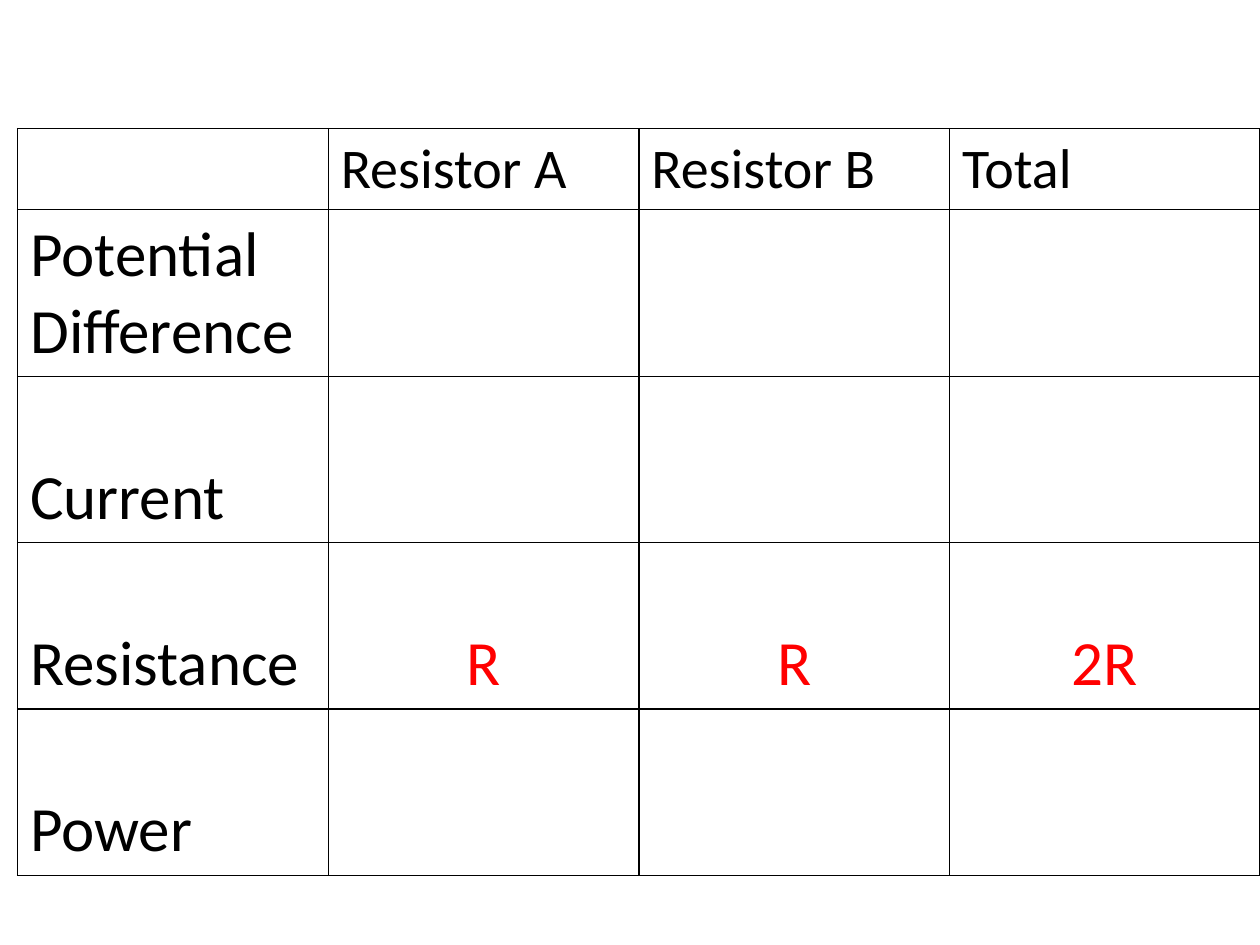
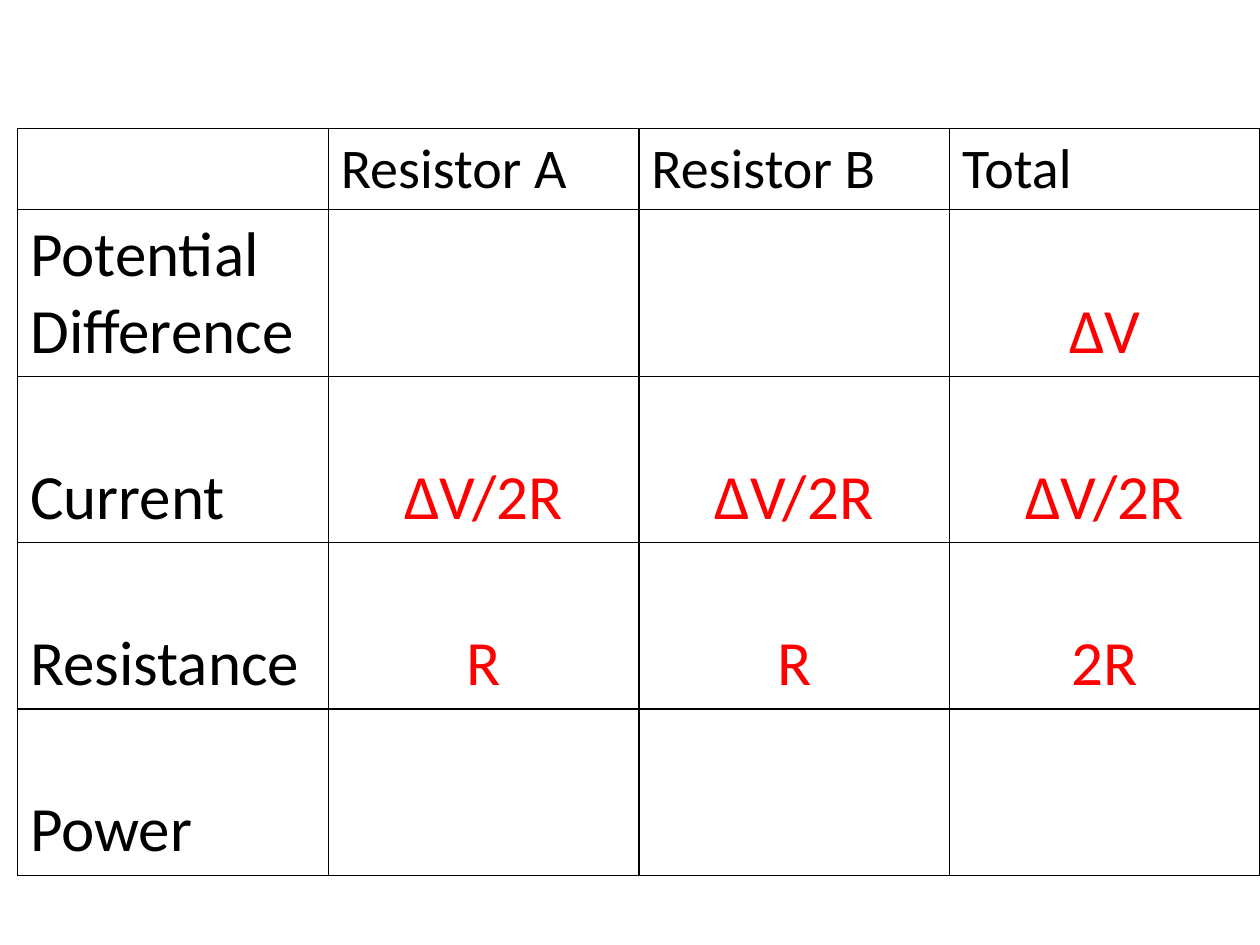
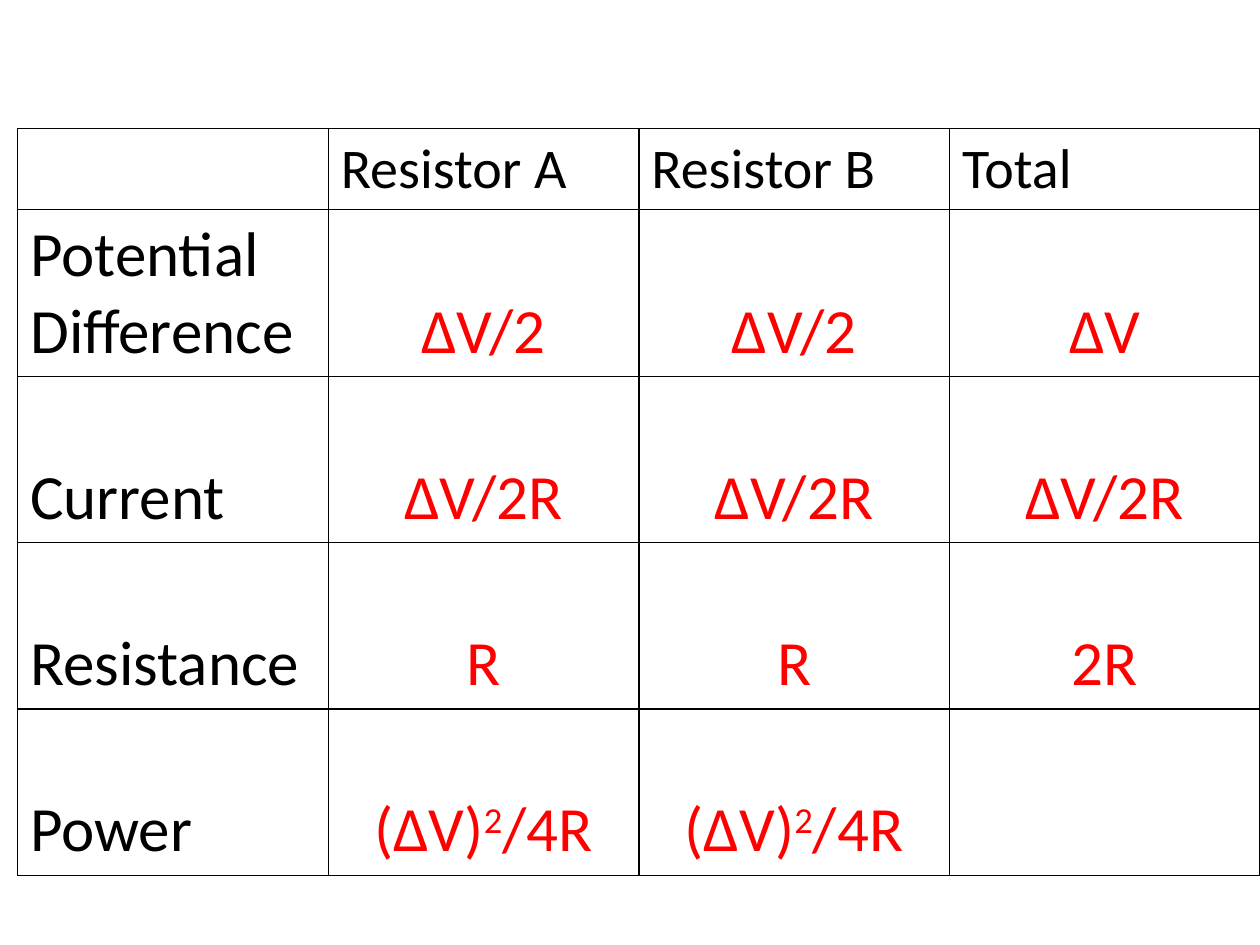
from lxml.etree import SubElement
from pptx import Presentation
from pptx.dml.color import RGBColor
from pptx.enum.text import MSO_ANCHOR as Anchor, PP_ALIGN as Align
from pptx.oxml.ns import qn
from pptx.util import Inches, Pt

FONT = "Calibri"
BLACK = "000000"
RED = "FF0000"
HEADINGS = ["", "Resistor A", "Resistor B", "Total"]
QUANTITIES = ["Potential Difference", "Current", "Resistance", "Power"]
TABLE_LEFT, TABLE_TOP, TABLE_WIDTH = 0.14, 1.02, 9.86
HEADING_HEIGHT, QUANTITY_HEIGHT = 0.64, 1.32

# Known values on each slide: quantity -> resistor A, resistor B, total
RESISTANCE = {"Resistance": ["R", "R", "2R"]}
CURRENT = {"Current": ["ΔV/2R"] * 3}
STAGES = [
    RESISTANCE,
    {**RESISTANCE, **CURRENT, "Potential Difference": ["", "", "ΔV"]},
    {**RESISTANCE, **CURRENT,
     "Potential Difference": ["ΔV/2", "ΔV/2", "ΔV"],
     "Power": ["(ΔV)²/4R", "(ΔV)²/4R", ""]},
]


def color(hex_code):
    """Turn a hex string into a colour."""
    return RGBColor.from_string(hex_code)


def add_borders(cell):
    """Draw a 1 pt black line on all four sides of a cell."""
    properties = cell._tc.get_or_add_tcPr()
    for side in ("a:lnL", "a:lnR", "a:lnT", "a:lnB"):
        line = SubElement(properties, qn(side), w=str(Pt(1)))
        fill = SubElement(line, qn("a:solidFill"))
        SubElement(fill, qn("a:srgbClr"), val=BLACK)


def write_formula(paragraph, formula):
    """Write a formula, raising a square sign as a superscript 2."""
    base, square, rest = formula.partition("²")
    paragraph.text = base
    if square:
        exponent = paragraph.add_run()
        exponent.text = "2"
        exponent._r.get_or_add_rPr().set("baseline", "30000")
        paragraph.add_run().text = rest


def fill_cell(cell, text, size, hex_code=BLACK, align=Align.LEFT,
              anchor=Anchor.TOP):
    """Format a cell and write its text."""
    add_borders(cell)
    cell.fill.background()
    cell.vertical_anchor = anchor
    if not text:
        return
    paragraph = cell.text_frame.paragraphs[0]
    write_formula(paragraph, text)
    paragraph.alignment = align
    for run in paragraph.runs:
        run.font.name = FONT
        run.font.size = Pt(size)
        run.font.color.rgb = color(hex_code)


def add_circuit_table(slide, values):
    """Add the table of circuit quantities with the known values."""
    height = HEADING_HEIGHT + QUANTITY_HEIGHT * len(QUANTITIES)
    table = slide.shapes.add_table(
        len(QUANTITIES) + 1, len(HEADINGS), Inches(TABLE_LEFT),
        Inches(TABLE_TOP), Inches(TABLE_WIDTH), Inches(height)).table
    table.first_row = table.horz_banding = False

    table.rows[0].height = Inches(HEADING_HEIGHT)
    for column, heading in enumerate(HEADINGS):
        table.columns[column].width = Inches(TABLE_WIDTH / len(HEADINGS))
        fill_cell(table.cell(0, column), heading, 32)

    for row, quantity in enumerate(QUANTITIES, start=1):
        table.rows[row].height = Inches(QUANTITY_HEIGHT)
        fill_cell(table.cell(row, 0), quantity, 36, anchor=Anchor.BOTTOM)
        for column, value in enumerate(values.get(quantity, [""] * 3), start=1):
            fill_cell(table.cell(row, column), value, 36, RED,
                      Align.CENTER, Anchor.BOTTOM)


def main():
    """Build one slide for each stage of the solution."""
    deck = Presentation()
    deck.slide_width, deck.slide_height = Inches(10), Inches(7.5)
    blank_layout = deck.slide_layouts[6]
    for values in STAGES:
        add_circuit_table(deck.slides.add_slide(blank_layout), values)
    deck.save("out.pptx")


main()
